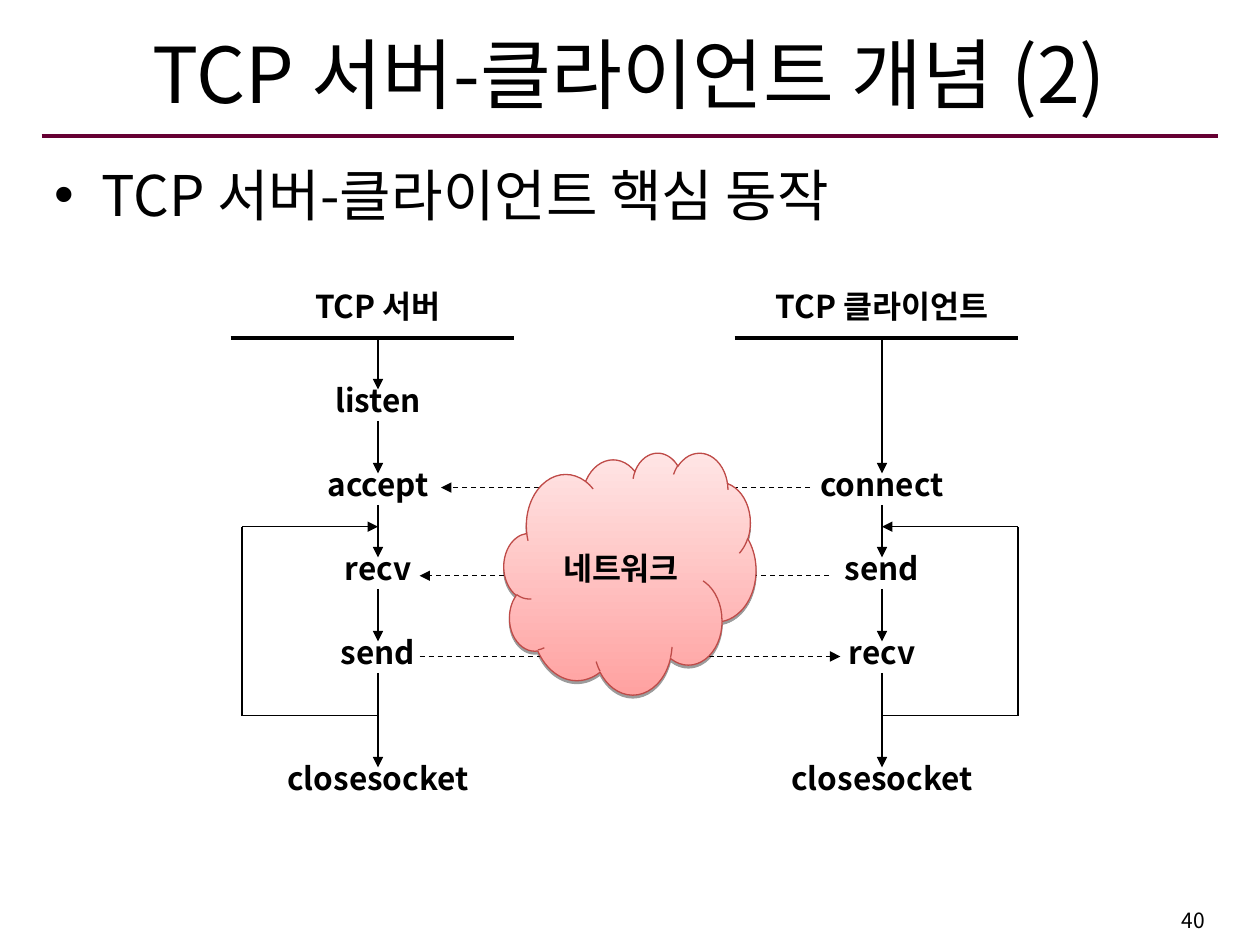
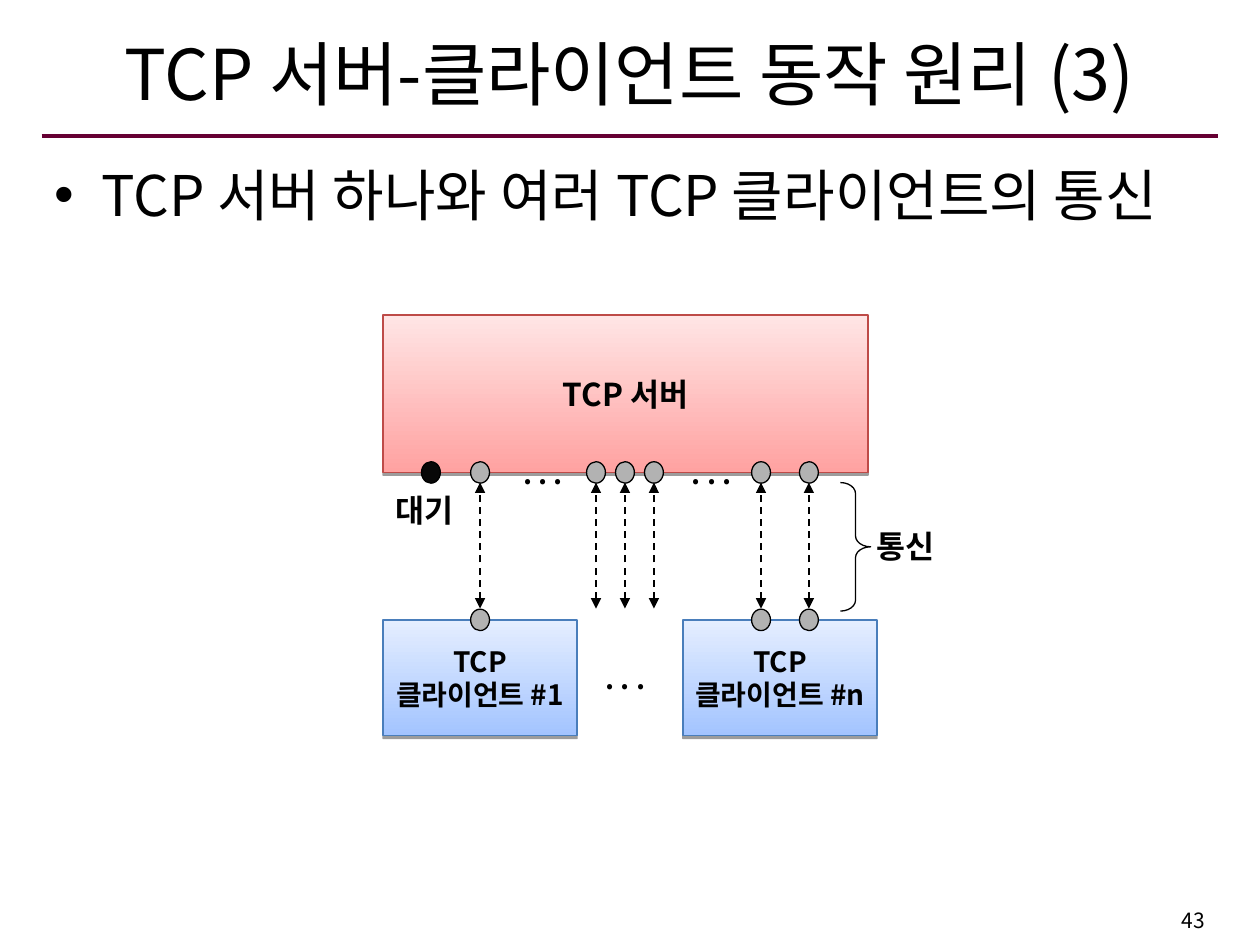
from dataclasses import dataclass

from lxml import etree
from pptx import Presentation
from pptx.dml.color import RGBColor
from pptx.enum.dml import MSO_LINE
from pptx.enum.shapes import MSO_CONNECTOR, MSO_SHAPE
from pptx.enum.text import MSO_ANCHOR, MSO_AUTO_SIZE, PP_ALIGN
from pptx.oxml.ns import qn
from pptx.util import Inches, Pt

STRAIGHT = MSO_CONNECTOR.STRAIGHT
DASH = MSO_LINE.DASH
LEFT, CENTER, RIGHT = PP_ALIGN.LEFT, PP_ALIGN.CENTER, PP_ALIGN.RIGHT
MIDDLE, TOP = MSO_ANCHOR.MIDDLE, MSO_ANCHOR.TOP
NO_AUTOFIT = MSO_AUTO_SIZE.NONE
RECTANGLE, ELLIPSE = MSO_SHAPE.RECTANGLE, MSO_SHAPE.OVAL
CLOUD, BRACE = MSO_SHAPE.CLOUD, MSO_SHAPE.RIGHT_BRACE

FONT = "Noto Sans CJK KR"
BLACK, PLUM = "000000", "660033"
WAITING, CONNECTED = "080808", "B2B2B2"
BOTTOM_SIDE = 2
LINE_HEIGHT = 1.2


@dataclass(frozen=True)
class Box:
    left: float
    top: float
    width: float
    height: float

    def inches(self) -> tuple:
        return tuple(Inches(v) for v in (self.left, self.top, self.width, self.height))


@dataclass(frozen=True)
class Theme:
    bottom: str
    top: str
    outline: str


@dataclass(frozen=True)
class Program:
    """One side of the exchange: its calls by row, and the side its loop is on."""
    center: float
    heading: str
    calls: tuple
    loop_side: int


@dataclass(frozen=True)
class Message:
    start: float
    end: float
    y: float


RED = Theme("FFA2A1", "FFE5E5", "BE4B48")
BLUE = Theme("A3C4FF", "E5EEFF", "4A7EBB")

TITLE_BOX = Box(0.33, 0.15, 9.33, 0.85)
BODY_BOX = Box(0.33, 1.22, 9.33, 5.86)
NUMBER_BOX = Box(7.54, 7.15, 2.12, 0.33)

PROGRAMS = (
    Program(3, "TCP 서버",
            ((0, "listen"), (1, "accept"), (2, "recv"), (3, "send"),
             (4.5, "closesocket")), -1),
    Program(7, "TCP 클라이언트",
            ((1, "connect"), (2, "send"), (3, "recv"), (4.5, "closesocket")), 1),
)
MESSAGES = (Message(6.43, 3.5, 3.87), Message(6.58, 3.33, 4.57),
            Message(3.33, 6.67, 5.21))
CALL_WIDTH, CALL_HEIGHT, CALL_TOP, CALL_PITCH = 2.17, 0.33, 3.01, 2 / 3
ARROW_OVERLAP = 0.08
HEADING_TOP, HEADING_HEIGHT = 2.18, 0.5
LOOP_TOP, LOOP_BOTTOM, LOOP_REACH = 4.18, 5.68, 1.08

PORT_WIDTH, PORT_HEIGHT = 0.15, 0.17
SERVER_PORT_Y, CLIENT_PORT_Y = 3.75, 4.92
CLIENTS = ((3.04, "#1", (3.81,)), (5.42, "#n", (6.04, 6.42)))
OTHER_PORTS = (4.73, 4.96, 5.19)
ELLIPSES = (Box(4.04, 3.67, 0.54, 0.17), Box(5.42, 3.67, 0.46, 0.17),
            Box(4.58, 4.92, 0.77, 0.92))


def rgb(color: str) -> RGBColor:
    return RGBColor.from_string(color)


def write(shape, lines: tuple, size: float, bold: bool = False, align=CENTER,
          anchor=MIDDLE, wrap: bool = False) -> None:
    frame = shape.text_frame
    frame.text = "\n".join(lines)
    frame.word_wrap = wrap
    frame.auto_size = NO_AUTOFIT
    frame.vertical_anchor = anchor
    for paragraph in frame.paragraphs:
        paragraph.alignment = align
        paragraph.space_before = Pt(0)
        for run in paragraph.runs:
            run.font.size = Pt(size)
            run.font.bold = bold
            run.font.color.rgb = rgb(BLACK)
            run.font.name = FONT
            east_asian = etree.SubElement(run.font._element, qn("a:ea"))
            east_asian.set("typeface", FONT)


def set_line_height(shape, size: float) -> None:
    for paragraph in shape.text_frame.paragraphs:
        paragraph.line_spacing = Pt(size * LINE_HEIGHT)


def add_label(slide, box: Box, text: str, size: float = 18, bold: bool = True,
              align=CENTER, anchor=MIDDLE):
    label = slide.shapes.add_textbox(*box.inches())
    write(label, (text,), size, bold, align, anchor)
    return label


def add_line(slide, start: tuple, end: tuple, color: str = BLACK,
             width: float = 0.75, dash=None, ends: tuple = ()):
    """Draw a line; ends lists which of headEnd and tailEnd get an arrowhead."""
    line = slide.shapes.add_connector(
        STRAIGHT, *(Inches(v) for v in (*start, *end)))
    line.line.color.rgb = rgb(color)
    line.line.width = Pt(width)
    if dash is not None:
        line.line.dash_style = dash
    properties = line._element.spPr
    for end_name in ends:
        outline = properties.find(qn("a:ln"))
        etree.SubElement(outline, qn(f"a:{end_name}")).set("type", "triangle")
    etree.SubElement(properties, qn("a:effectLst"))
    return line


def add_plain_shape(slide, kind, box: Box, outline: str = BLACK):
    shape = slide.shapes.add_shape(kind, *box.inches())
    shape.shadow.inherit = False
    shape.line.color.rgb = rgb(outline)
    shape.line.width = Pt(0.75)
    return shape


def add_node(slide, kind, box: Box, theme: Theme, lines: tuple, size: float = 18):
    """Draw a shape with a vertical gradient, a hard lower shadow and a label."""
    node = add_plain_shape(slide, kind, box, theme.outline)
    node.fill.gradient()
    node.fill.gradient_angle = 90
    for stop, color in zip(node.fill.gradient_stops, (theme.bottom, theme.top)):
        stop.color.rgb = rgb(color)
    effects = node._element.spPr.find(qn("a:effectLst"))
    shadow = etree.SubElement(effects, qn("a:outerShdw"), blurRad="0",
                              dist=str(Pt(1.6)), dir="5400000", rotWithShape="0")
    shadow_color = etree.SubElement(shadow, qn("a:srgbClr"), val=BLACK)
    etree.SubElement(shadow_color, qn("a:alpha"), val="38000")
    write(node, lines, size, bold=True)
    return node


def add_page(deck, title: str, title_size: float, topic: str, number: int):
    slide = deck.slides.add_slide(deck.slide_layouts[1])
    heading, body = slide.shapes.title, slide.placeholders[1]
    for placeholder, box in ((heading, TITLE_BOX), (body, BODY_BOX)):
        (placeholder.left, placeholder.top,
         placeholder.width, placeholder.height) = box.inches()
    write(heading, (title,), title_size, wrap=True)
    write(body, (topic,), 32, align=LEFT, anchor=TOP, wrap=True)
    set_line_height(body, 32)
    add_line(slide, (0.33, 1.08), (9.67, 1.08), PLUM, 2.25)
    add_label(slide, NUMBER_BOX, str(number), 12, False, RIGHT, TOP)
    return slide


def add_program(slide, program: Program) -> None:
    x = program.center
    left = x - CALL_WIDTH / 2
    previous = add_label(slide, Box(left, HEADING_TOP, CALL_WIDTH, HEADING_HEIGHT),
                         program.heading)
    rule_y = HEADING_TOP + HEADING_HEIGHT
    add_line(slide, (x - 1.17, rule_y), (x + 1.08, rule_y), width=2.25)
    for row, name in program.calls:
        top = CALL_TOP + row * CALL_PITCH
        call = add_label(slide, Box(left, top, CALL_WIDTH, CALL_HEIGHT), name)
        arrow = add_line(slide, (x, top), (x, top + ARROW_OVERLAP),
                         ends=("tailEnd",))
        arrow.begin_connect(previous, BOTTOM_SIDE)
        previous = call
    outer = x + program.loop_side * LOOP_REACH
    add_line(slide, (x, LOOP_BOTTOM), (outer, LOOP_BOTTOM))
    add_line(slide, (outer, LOOP_BOTTOM), (outer, LOOP_TOP))
    add_line(slide, (outer, LOOP_TOP), (x, LOOP_TOP), ends=("tailEnd",))


def add_port(slide, x: float, y: float, color: str = CONNECTED) -> None:
    box = Box(x - PORT_WIDTH / 2, y - PORT_HEIGHT / 2, PORT_WIDTH, PORT_HEIGHT)
    port = add_plain_shape(slide, ELLIPSE, box)
    port.fill.solid()
    port.fill.fore_color.rgb = rgb(color)


def add_channel(slide, x: float) -> None:
    """Draw a server port and the two-way arrow below it."""
    add_port(slide, x, SERVER_PORT_Y)
    add_line(slide, (x, 4.83), (x, 3.83), width=1, dash=DASH,
             ends=("headEnd", "tailEnd"))


def build_call_sequence(deck) -> None:
    slide = add_page(deck, "TCP 서버-클라이언트 개념 (2)", 44,
                     "TCP 서버-클라이언트 핵심 동작", 40)
    for program in PROGRAMS:
        add_program(slide, program)
    for message in MESSAGES:
        add_line(slide, (message.start, message.y), (message.end, message.y),
                 dash=DASH, ends=("tailEnd",))
    add_node(slide, CLOUD, Box(4, 3.59, 2, 1.92), RED, ("네트워크",))


def build_many_clients(deck) -> None:
    slide = add_page(deck, "TCP 서버-클라이언트 동작 원리 (3)", 40,
                     "TCP 서버 하나와 여러 TCP 클라이언트의 통신", 43)
    add_node(slide, RECTANGLE, Box(3.04, 2.5, 3.85, 1.25), RED, ("TCP 서버",))
    add_port(slide, 3.42, SERVER_PORT_Y, WAITING)
    add_label(slide, Box(3.04, 3.92, 0.77, 0.25), "대기", align=LEFT)
    for left, number, ports in CLIENTS:
        client = add_node(slide, RECTANGLE, Box(left, 4.92, 1.54, 0.92), BLUE,
                          ("TCP", f"클라이언트 {number}"), 16)
        set_line_height(client, 16)
        for x in ports:
            add_port(slide, x, CLIENT_PORT_Y)
            add_channel(slide, x)
    for x in OTHER_PORTS:
        add_channel(slide, x)
    for box in ELLIPSES:
        add_label(slide, box, ". . .", 16)
    brace = add_plain_shape(slide, BRACE, Box(6.67, 3.83, 0.24, 1.02))
    brace.fill.background()
    brace.adjustments[0] = 0.36
    add_label(slide, Box(6.86, 4.21, 0.83, 0.25), "통신", align=LEFT)


def main() -> None:
    deck = Presentation()
    deck.slide_width, deck.slide_height = Inches(10), Inches(7.5)
    build_call_sequence(deck)
    build_many_clients(deck)
    deck.save("out.pptx")


if __name__ == "__main__":
    main()
